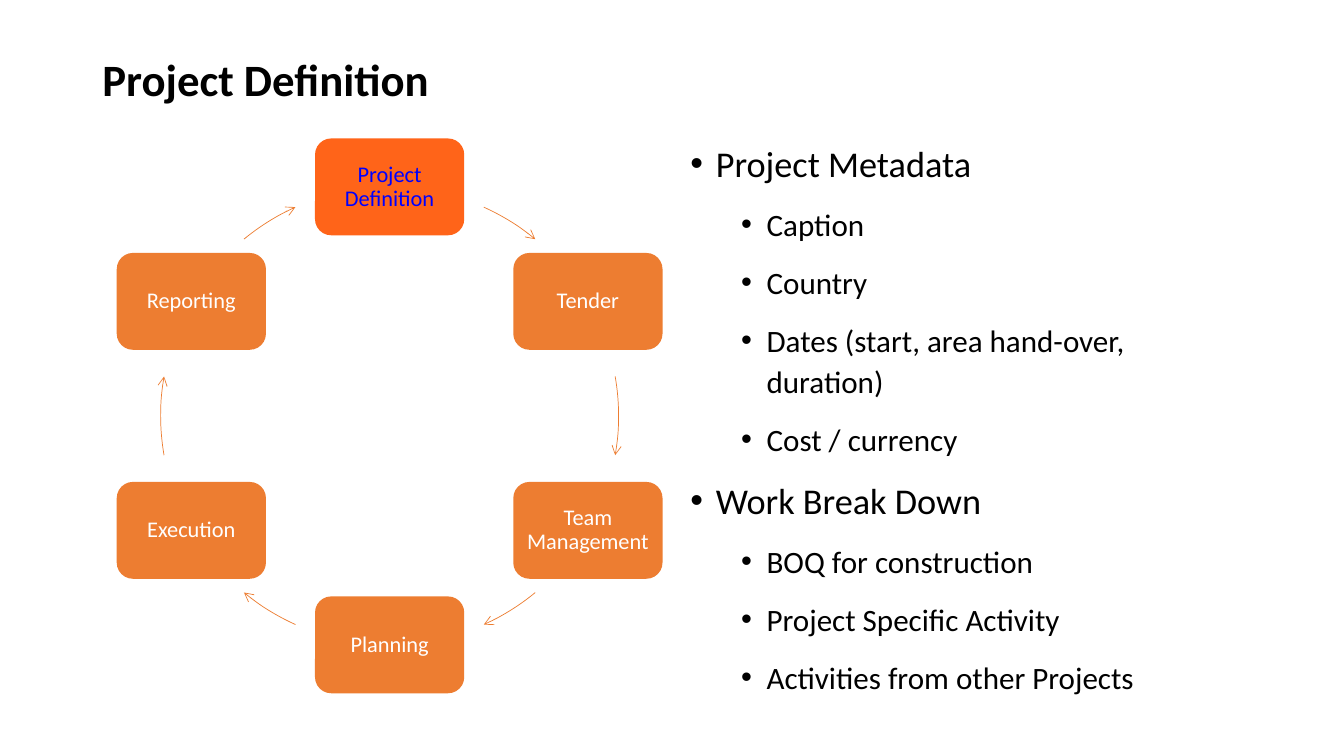
"""Build the Project Definition slide: a six-step cycle beside a bulleted list."""
import math
import lxml.etree
import pptx
import pptx.dml.color
import pptx.enum.shapes
import pptx.enum.text
import pptx.oxml.ns
import pptx.util
from pptx.util import Cm, Pt

TITLE = "Project Definition"
STEPS = ["Project Definition", "Tender", "Team Management", "Planning", "Execution", "Reporting"]
CURRENT_STEP = 0
TOPICS = [
    ("Project Metadata", ["Caption", "Country", "Dates (start, area hand-over, duration)", "Cost / currency"]),
    ("Work Break Down", ["BOQ for construction", "Project Specific Activity", "Activities from other Projects"]),
]
THEME = {
    "font": "Calibri", "text": "000000", "step": "ED7D31", "step_text": "FFFFFF",
    "current": "FF6419", "current_text": "0000FF",
    "title_size": 32, "topic_size": 25.9, "detail_size": 22.2, "step_size": 16, "arrow_width": 0.5,
}
CENTER_X, CENTER_Y, RADIUS = 9.82, 10.48, 5.77
STEP_WIDTH, STEP_HEIGHT, STEP_INSET = 3.76, 2.44, 0.12
ARROW_ANGLES = [(24.3, 39.5), (80.1, 99.9), (140.5, 155.7)]
BULLET_HANG = 0.64
SHAPES = pptx.enum.shapes.MSO_SHAPE
MIDDLE = pptx.enum.text.MSO_ANCHOR.MIDDLE


def color(name):
    return pptx.dml.color.RGBColor.from_string(THEME[name])


def add_child(parent, tag, **attributes):
    child = lxml.etree.SubElement(parent, pptx.oxml.ns.qn(tag))
    for name, value in attributes.items():
        child.set(name, str(value))


def style(paragraph, size, ink, spacing):
    paragraph.font.name = THEME["font"]
    paragraph.font.size = Pt(THEME[size])
    paragraph.font.color.rgb = color(ink)
    paragraph.line_spacing = spacing


def add_text_frame(slide, left, top, width, height):
    frame = slide.shapes.add_textbox(Cm(left), Cm(top), Cm(width), Cm(height)).text_frame
    frame.word_wrap = True
    return frame


def add_title(slide):
    frame = add_text_frame(slide, 2.33, 1.02, 26.6, 2.11)
    frame.vertical_anchor = MIDDLE
    paragraph = frame.paragraphs[0]
    paragraph.text = TITLE
    style(paragraph, "title_size", "text", 0.9)
    paragraph.font.bold = True


def add_topics(slide):
    frame = add_text_frame(slide, 17.15, 3.33, 14.4, 14.68)
    lines = []
    for topic, details in TOPICS:
        lines.append((topic, 0))
        lines.extend((detail, 1) for detail in details)
    for index, (line, level) in enumerate(lines):
        paragraph = frame.add_paragraph() if index else frame.paragraphs[0]
        paragraph.text = line
        paragraph.level = level
        style(paragraph, "detail_size" if level else "topic_size", "text", 1.1)
        paragraph.space_before = paragraph.space_after = Pt(6)
        properties = paragraph._p.get_or_add_pPr()
        properties.set("marL", str(Cm(BULLET_HANG * (1 + 2 * level))))
        properties.set("indent", str(-Cm(BULLET_HANG)))
        bullet_start = len(properties.xpath("a:lnSpc|a:spcBef|a:spcAft"))
        add_child(properties, "a:buFont", typeface="Arial")
        add_child(properties, "a:buChar", char="\u2022")
        for offset, bullet in enumerate(properties.xpath("a:buFont|a:buChar")):
            properties.insert(bullet_start + offset, bullet)


def add_step(slide, index, label):
    angle = math.radians(index * 360 / len(STEPS))
    left = CENTER_X + RADIUS * math.sin(angle) - STEP_WIDTH / 2
    top = CENTER_Y - RADIUS * math.cos(angle) - STEP_HEIGHT / 2
    shape = slide.shapes.add_shape(
        SHAPES.ROUNDED_RECTANGLE, Cm(left), Cm(top), Cm(STEP_WIDTH), Cm(STEP_HEIGHT))
    role = "current" if index == CURRENT_STEP else "step"
    shape.shadow.inherit = False
    shape.fill.solid()
    shape.fill.fore_color.rgb = color(role)
    shape.line.fill.background()
    frame = shape.text_frame
    frame.word_wrap = True
    frame.vertical_anchor = MIDDLE
    frame.margin_left = frame.margin_right = frame.margin_top = frame.margin_bottom = Cm(STEP_INSET)
    paragraph = frame.paragraphs[0]
    paragraph.text = label
    paragraph.alignment = pptx.enum.text.PP_ALIGN.CENTER
    style(paragraph, "step_size", role + "_text", 0.9)


def add_arrow(slide, start, end):
    shape = slide.shapes.add_shape(
        SHAPES.ARC, Cm(CENTER_X - RADIUS), Cm(CENTER_Y - RADIUS), Cm(2 * RADIUS), Cm(2 * RADIUS))
    for index, angle in enumerate((start, end)):
        shape.adjustments[index] = (angle - 90) % 360 * 0.6
    shape.shadow.inherit = False
    shape.fill.background()
    shape.line.color.rgb = color("step")
    shape.line.width = Pt(THEME["arrow_width"])
    add_child(shape.line._get_or_add_ln(), "a:tailEnd", type="arrow")


def main():
    presentation = pptx.Presentation()
    presentation.slide_width, presentation.slide_height = Cm(33.87), Cm(19.05)
    slide = presentation.slides.add_slide(presentation.slide_layouts[6])
    add_title(slide)
    add_topics(slide)
    for index, label in enumerate(STEPS):
        add_step(slide, index, label)
    for half_turn in (0, 180):
        for start, end in ARROW_ANGLES:
            add_arrow(slide, start + half_turn, end + half_turn)
    presentation.save("out.pptx")


main()
